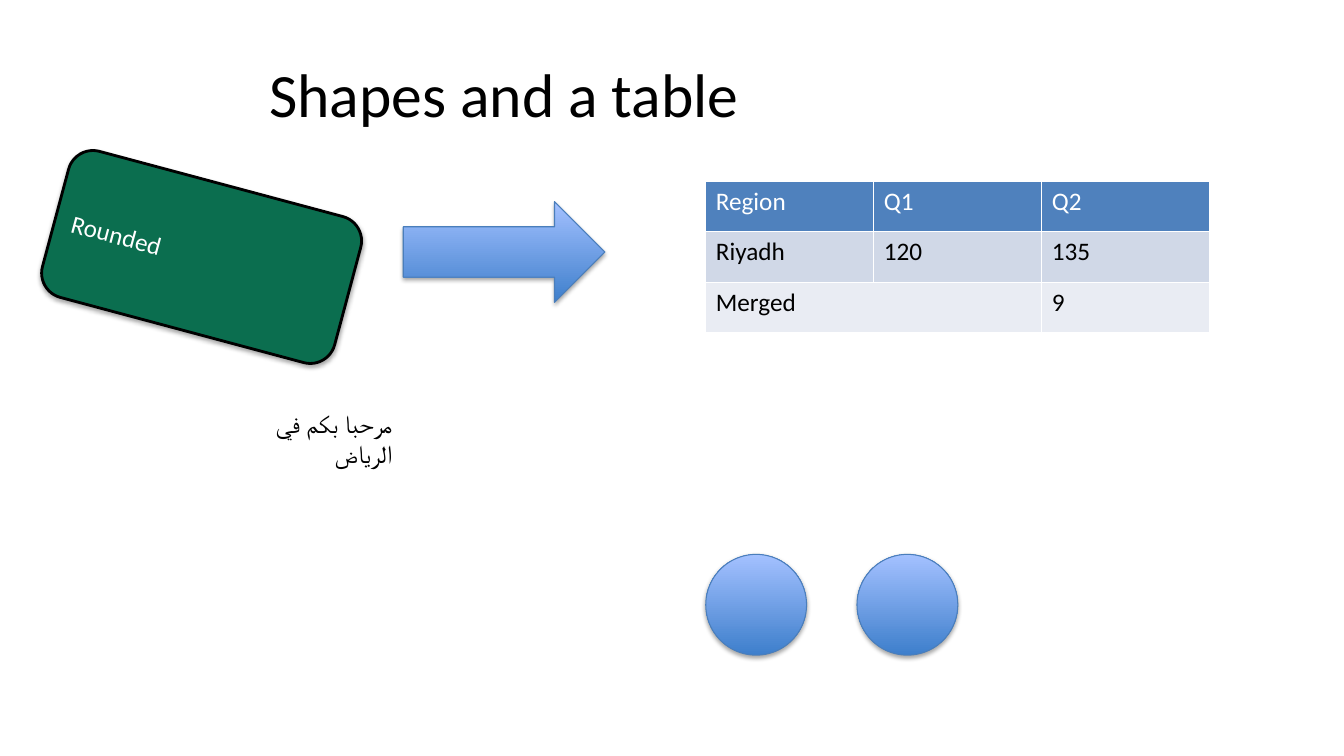
from dataclasses import dataclass
from typing import Optional

from lxml import etree
from pptx import Presentation
from pptx import util as u
from pptx.dml.color import RGBColor
from pptx.enum import shapes, text
from pptx.oxml import ns


@dataclass(frozen=True)
class Theme:
    font: str = "Calibri"
    title_size: int = 44
    body_size: int = 18
    black: str = "000000"
    white: str = "FFFFFF"
    green: str = "0B6E4F"
    gradient: tuple = ("3E7FCC", "A4C1FF")
    outline: str = "4A7EBB"
    rows: tuple = ("4F81BD", "D0D8E7", "E9ECF3")


@dataclass(frozen=True)
class Figure:
    kind: shapes.MSO_SHAPE
    left: float
    top: float
    width: float
    height: float
    fill: Optional[str] = None
    line: str = Theme.outline
    line_width: float = 0.75
    rotation: float = 0
    label: str = ""


THEME = Theme()
ROUNDED = Figure(shapes.MSO_SHAPE.ROUNDED_RECTANGLE, 0.5, 1.8, 3, 1.5,
                 THEME.green, THEME.black, 2, 15, "Rounded")
ARROW = Figure(shapes.MSO_SHAPE.RIGHT_ARROW, 4, 2, 2, 1)
CIRCLES = [Figure(shapes.MSO_SHAPE.OVAL, 7 + 1.5 * i, 5.5, 1, 1) for i in range(2)]
TABLE = [["Region", "Q1", "Q2"], ["Riyadh", "120", "135"], ["Merged", "", "9"]]


def rgb(value: str) -> RGBColor:
    return RGBColor.from_string(value)


def style_text(tf, size: int, color: str, align: text.PP_ALIGN) -> None:
    for p in tf.paragraphs:
        p.alignment = align
        for r in p.runs:
            r.font.name = THEME.font
            r.font.size = u.Pt(size)
            r.font.color.rgb = rgb(color)


def add_shadow(sp) -> None:
    sp.shadow.inherit = False
    effects = sp._element.spPr.find(ns.qn("a:effectLst"))
    shadow = etree.SubElement(effects, ns.qn("a:outerShdw"), blurRad="40000",
                              dist="23000", dir="5400000", rotWithShape="0")
    color = etree.SubElement(shadow, ns.qn("a:srgbClr"), val=THEME.black)
    etree.SubElement(color, ns.qn("a:alpha"), val="35000")


def add_figure(parent, fig: Figure) -> None:
    sp = parent.add_shape(fig.kind, u.Inches(fig.left), u.Inches(fig.top),
                          u.Inches(fig.width), u.Inches(fig.height))
    sp.rotation = fig.rotation
    if fig.fill:
        sp.fill.solid()
        sp.fill.fore_color.rgb = rgb(fig.fill)
    else:
        sp.fill.gradient()
        sp.fill.gradient_angle = 90
        for stop, position, color in zip(sp.fill.gradient_stops, (0, 1), THEME.gradient):
            stop.position = position
            stop.color.rgb = rgb(color)
    sp.line.color.rgb = rgb(fig.line)
    sp.line.width = u.Pt(fig.line_width)
    add_shadow(sp)
    if fig.label:
        sp.text_frame.text = fig.label
        sp.text_frame.vertical_anchor = text.MSO_ANCHOR.MIDDLE
        style_text(sp.text_frame, THEME.body_size, THEME.white, text.PP_ALIGN.LEFT)


def add_title(s, title: str) -> None:
    sp = s.shapes.title
    sp.left, sp.top, sp.width, sp.height = map(u.Inches, (0.5, 0.3, 9, 1.25))
    sp.text_frame.text = title
    sp.text_frame.vertical_anchor = text.MSO_ANCHOR.MIDDLE
    style_text(sp.text_frame, THEME.title_size, THEME.black, text.PP_ALIGN.CENTER)


def add_greeting(s, greeting: str) -> None:
    sp = s.shapes.add_textbox(u.Inches(2), u.Inches(4), u.Inches(1.99), u.Inches(0.4))
    tf = sp.text_frame
    tf.word_wrap = False
    tf.auto_size = text.MSO_AUTO_SIZE.SHAPE_TO_FIT_TEXT
    tf.text = greeting
    style_text(tf, THEME.body_size, THEME.black, text.PP_ALIGN.RIGHT)
    tf.paragraphs[0]._p.get_or_add_pPr().set("rtl", "1")


def add_borders(cell) -> None:
    tc_pr = cell._tc.get_or_add_tcPr()
    for side in ("lnL", "lnR", "lnT", "lnB"):
        ln = etree.SubElement(tc_pr, ns.qn(f"a:{side}"), w=str(u.Pt(1)))
        fill = etree.SubElement(ln, ns.qn("a:solidFill"))
        etree.SubElement(fill, ns.qn("a:srgbClr"), val=THEME.white)


def add_sales_table(s, rows: list[list[str]]) -> None:
    table = s.shapes.add_table(len(rows), len(rows[0]), u.Inches(7), u.Inches(1.8),
                               u.Inches(5), u.Inches(1.5)).table
    for i, (values, fill) in enumerate(zip(rows, THEME.rows)):
        for j, value in enumerate(values):
            cell = table.cell(i, j)
            add_borders(cell)
            cell.fill.solid()
            cell.fill.fore_color.rgb = rgb(fill)
            cell.text_frame.text = value
            style_text(cell.text_frame, THEME.body_size,
                       THEME.black if i else THEME.white, text.PP_ALIGN.LEFT)
    table.cell(2, 0).merge(table.cell(2, 1))


def main() -> None:
    prs = Presentation()
    prs.slide_width, prs.slide_height = u.Inches(13.33), u.Inches(7.5)
    s = prs.slides.add_slide(prs.slide_layouts[5])
    add_title(s, "Shapes and a table")
    add_figure(s.shapes, ROUNDED)
    add_figure(s.shapes, ARROW)
    add_greeting(s, "مرحبا بكم في الرياض")
    group = s.shapes.add_group_shape()
    for circle in CIRCLES:
        add_figure(group.shapes, circle)
    add_sales_table(s, TABLE)
    prs.save("out.pptx")


if __name__ == "__main__":
    main()
